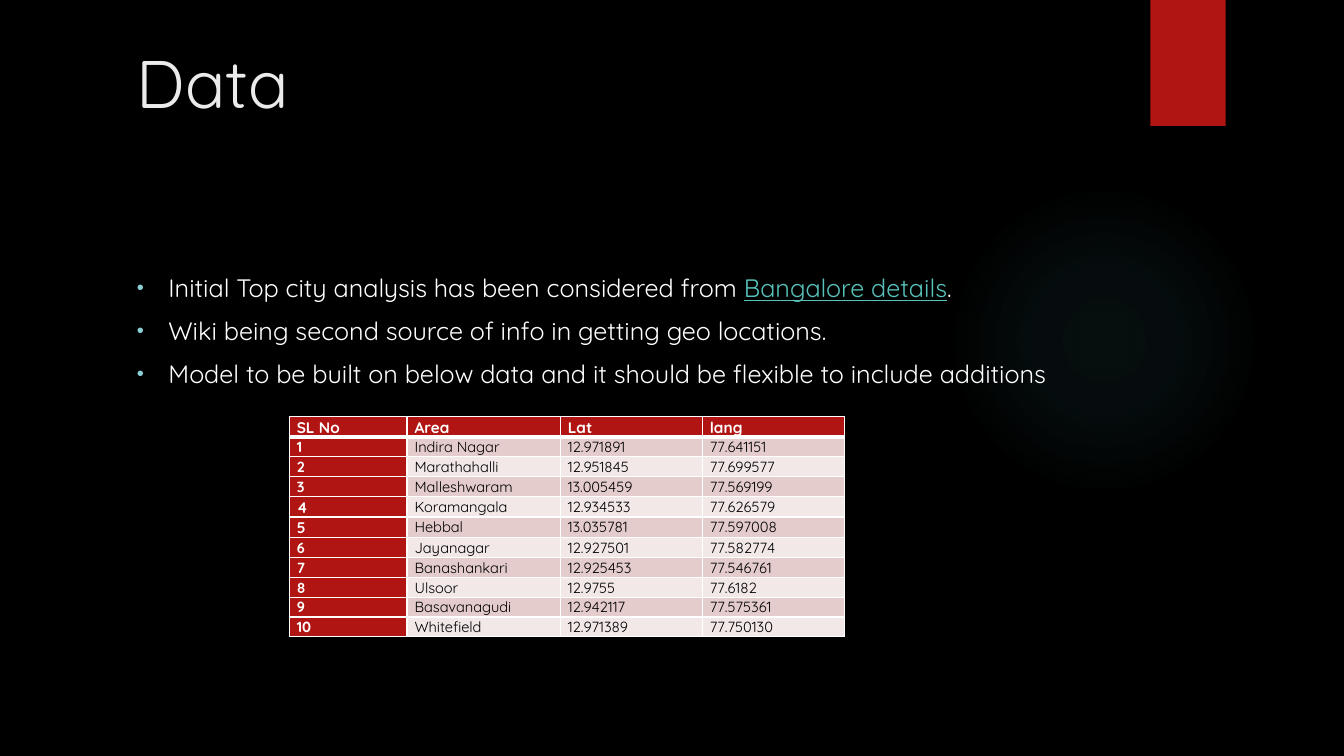
from dataclasses import dataclass

from lxml import etree
from pptx import Presentation
from pptx import util as u
from pptx.dml import color
from pptx.enum import shapes, text
from pptx.oxml import ns

Pt = u.Pt
FONT = "Quicksand"
WHITE, BLACK, RED, TEAL = "FFFFFF", "000000", "B01513", "50B9C1"
BANDS = ("E4CCCC", "F2E8E7")
INSET = 5.4


@dataclass
class Box:
    left: float
    top: float
    width: float
    height: float

    def lengths(self) -> list:
        return [Pt(value) for value in (self.left, self.top, self.width, self.height)]


@dataclass
class Words:
    content: str
    size: float = 18
    colour: str = WHITE
    bold: bool = False
    underline: bool = False


GLOW = Box(677.5, 131.8, 221.8, 221.8)
RIBBON = Box(821.8, 0, 53.7, 90)
TITLE = Box(90.7, 25.9, 694.8, 75.6)
BODY = Box(90.7, 92.9, 694.8, 380.9)
TABLE = Box(206.6, 297.4, 396.7, 157)
COLUMN_WIDTHS = (84.2, 109.4, 101.5, 101.5)
ROW_HEIGHTS = {11: 14.7, 10.5: 14.2}
LARGE_ROWS = (0, 4, 5)

BULLETS = [
    [
        Words("Initial Top city analysis has been considered from "),
        Words("Bangalore details", colour="58C1BA", underline=True),
        Words("."),
    ],
    [Words("Wiki being second source of info in getting geo locations.")],
    [Words("Model to be built on below data and it should be flexible to include additions")],
]

HEADER = ("SL No", "Area", "Lat", "lang")
AREAS = [
    ("Indira Nagar", "12.971891", "77.641151"),
    ("Marathahalli", "12.951845", "77.699577"),
    ("Malleshwaram", "13.005459", "77.569199"),
    ("Koramangala", "12.934533", "77.626579"),
    ("Hebbal", "13.035781", "77.597008"),
    ("Jayanagar", "12.927501", "77.582774"),
    ("Banashankari", "12.925453", "77.546761"),
    ("Ulsoor", "12.9755", "77.6182"),
    ("Basavanagudi", "12.942117", "77.575361"),
    ("Whitefield", "12.971389", "77.750130"),
]


def rgb(value: str) -> color.RGBColor:
    return color.RGBColor.from_string(value)


def apply(target, **values) -> None:
    for name, value in values.items():
        setattr(target, name, value)


def element(markup: str):
    head, rest = markup.split(">", 1)
    closing = "/" if head.endswith("/") else ""
    opening = head.rstrip("/")
    return etree.fromstring(f'{opening} {ns.nsdecls("a")}{closing}>{rest}')


def fill_solid(target, colour: str) -> None:
    target.fill.solid()
    target.fill.fore_color.rgb = rgb(colour)


def add_words(paragraph, words: Words) -> None:
    run = paragraph.add_run()
    run.text = words.content
    apply(run.font, name=FONT, size=Pt(words.size), bold=words.bold, underline=words.underline)
    run.font.color.rgb = rgb(words.colour)


def add_plain_shape(slide, kind, box: Box):
    shape = slide.shapes.add_shape(kind, *box.lengths())
    shape.shadow.inherit = False
    shape.line.fill.background()
    return shape


def add_glow(slide) -> None:
    shape = add_plain_shape(slide, shapes.MSO_SHAPE.OVAL, GLOW)
    stops = "".join(
        f'<a:gs pos="{position * 1000}"><a:srgbClr val="{TEAL}">'
        f'<a:alpha val="{alpha * 1000}"/></a:srgbClr></a:gs>'
        for position, alpha in ((0, 7), (36, 6), (69, 0))
    )
    gradient = element(
        f'<a:gradFill><a:gsLst>{stops}</a:gsLst><a:path path="circle">'
        '<a:fillToRect l="50000" t="50000" r="50000" b="50000"/></a:path></a:gradFill>'
    )
    geometry = shape.element.spPr.find(ns.qn("a:prstGeom"))
    geometry.addnext(gradient)


def add_ribbon(slide) -> None:
    shape = add_plain_shape(slide, shapes.MSO_SHAPE.RECTANGLE, RIBBON)
    fill_solid(shape, RED)
    shape.element.spPr.find(ns.qn("a:effectLst")).append(element(
        f'<a:outerShdw blurRad="{Pt(3)}" dist="{Pt(2)}" dir="5400000" rotWithShape="0">'
        f'<a:srgbClr val="{BLACK}"><a:alpha val="45000"/></a:srgbClr></a:outerShdw>'
    ))


def add_frame(slide, box: Box, **values):
    frame = slide.shapes.add_textbox(*box.lengths()).text_frame
    apply(frame, word_wrap=True, **values)
    return frame


def add_bullets(slide) -> None:
    frame = add_frame(slide, BODY, vertical_anchor=text.MSO_ANCHOR.MIDDLE, margin_bottom=Pt(98.1))
    for index, bullet in enumerate(BULLETS):
        paragraph = frame.add_paragraph() if index else frame.paragraphs[0]
        paragraph.space_before = Pt(9)
        properties = paragraph._p.get_or_add_pPr()
        properties.set("marL", str(Pt(22.5)))
        properties.set("indent", str(-Pt(22.5)))
        for markup in (
            '<a:buClr><a:srgbClr val="8AD0D6"/></a:buClr>',
            '<a:buSzPct val="80000"/>',
            '<a:buFont typeface="Arial"/>',
            '<a:buChar char="•"/>',
        ):
            properties.append(element(markup))
        for words in bullet:
            add_words(paragraph, words)


def add_borders(cell, row: int) -> None:
    properties = cell._tc.get_or_add_tcPr()
    widths = {"L": 1, "R": 1, "T": 3 if row == 1 else 1, "B": 3 if row == 0 else 1}
    for index, (side, width) in enumerate(widths.items()):
        properties.insert(index, element(
            f'<a:ln{side} w="{Pt(width)}"><a:solidFill><a:srgbClr val="{WHITE}"/>'
            f"</a:solidFill></a:ln{side}>"
        ))


def add_area_table(slide) -> None:
    rows = [HEADER] + [(str(number), *area) for number, area in enumerate(AREAS, 1)]
    table = slide.shapes.add_table(len(rows), len(HEADER), *TABLE.lengths()).table
    for column, width in zip(table.columns, COLUMN_WIDTHS):
        column.width = Pt(width)
    for row, values in enumerate(rows):
        large = 11 if row in LARGE_ROWS else 10.5
        table.rows[row].height = Pt(ROW_HEIGHTS[large])
        for column, value in enumerate(values):
            heading = row == 0 or column == 0
            cell = table.cell(row, column)
            apply(cell, margin_left=Pt(INSET), margin_right=Pt(INSET), margin_top=0, margin_bottom=0)
            fill_solid(cell, RED if heading else BANDS[(row - 1) % 2])
            add_borders(cell, row)
            paragraph = cell.text_frame.paragraphs[0]
            paragraph.line_spacing = 1.07
            size = large if heading else 10.5
            add_words(paragraph, Words(value, size, WHITE if heading else BLACK, heading))


def main() -> None:
    presentation = Presentation()
    apply(presentation, slide_width=Pt(960), slide_height=Pt(540))
    slide = presentation.slides.add_slide(presentation.slide_layouts[6])
    fill_solid(slide.background, BLACK)
    add_glow(slide)
    add_ribbon(slide)
    title = add_frame(slide, TITLE, vertical_anchor=text.MSO_ANCHOR.TOP)
    add_words(title.paragraphs[0], Words("Data", 48, "EBEBEB"))
    add_bullets(slide)
    add_area_table(slide)
    presentation.save("out.pptx")


if __name__ == "__main__":
    main()
